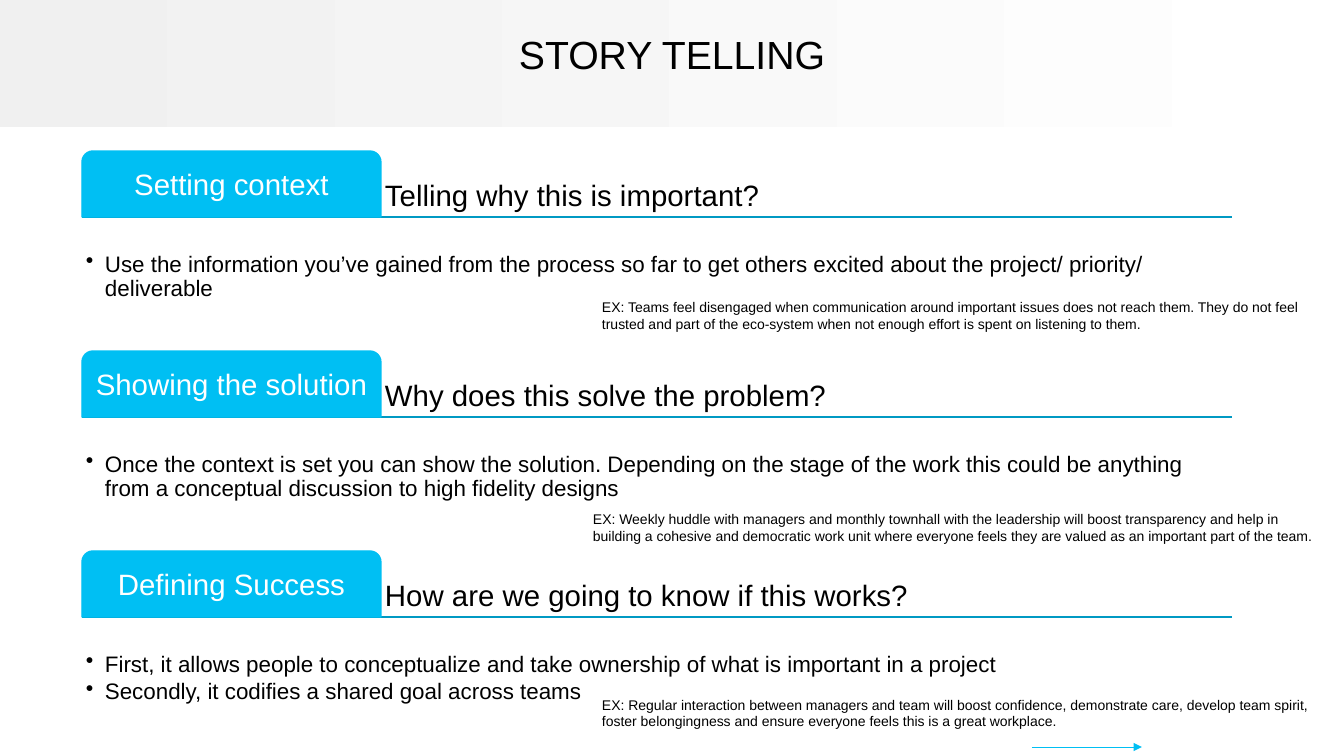
from dataclasses import dataclass

from lxml import etree
from pptx import Presentation
from pptx.dml.color import RGBColor
from pptx.enum.shapes import MSO_CONNECTOR, MSO_SHAPE
from pptx.enum.text import MSO_ANCHOR, PP_ALIGN
from pptx.oxml.ns import qn
from pptx.util import Pt

RECT, TAB = MSO_SHAPE.RECTANGLE, MSO_SHAPE.ROUND_2_SAME_RECTANGLE
STRAIGHT = MSO_CONNECTOR.STRAIGHT
TOP, MIDDLE, BOTTOM = MSO_ANCHOR.TOP, MSO_ANCHOR.MIDDLE, MSO_ANCHOR.BOTTOM
LEFT, CENTER = PP_ALIGN.LEFT, PP_ALIGN.CENTER

SLIDE_W, SLIDE_H = 1344, 756
EMU_PER_PX = 12192000 / SLIDE_W


@dataclass(frozen=True)
class Theme:
    font: str = "Arial"
    ink: str = "000000"
    white: str = "FFFFFF"
    band: str = "F0F0F0"
    accent: str = "00BFF3"
    rule: str = "0099C3"
    title: int = 28
    heading: int = 21
    body: int = 16
    example: int = 10


THEME = Theme()

SECTION_X, SECTION_W = 82, 1150
FIRST_TOP, PITCH = 151, 200
TAB_W, TAB_H = 299, 66
BODY_H, EXAMPLE_H = 131, 44
INSET, BODY_TOP_INSET, BULLET_INDENT = 4, 36, 19

# tab label, heading, bullets
SECTIONS = [
    ("Setting context", "Telling why this is important?",
     ["Use the information you’ve gained from the process so far to get others "
      "excited about the project/ priority/ deliverable"]),
    ("Showing the solution", "Why does this solve the problem?",
     ["Once the context is set you can show the solution. Depending on the stage of "
      "the work this could be anything from a conceptual discussion to high fidelity "
      "designs"]),
    ("Defining Success", "How are we going to know if this works?",
     ["First, it allows people to conceptualize and take ownership of what is "
      "important in a project",
      "Secondly, it codifies a shared goal across teams"]),
]

# left, top, width, text
EXAMPLES = [
    (592, 294, 752,
     "EX: Teams feel disengaged when communication around important issues does not "
     "reach them. They do not feel trusted and part of the eco-system when not enough "
     "effort is spent on listening to them."),
    (583, 506, 741,
     "EX: Weekly huddle with managers and monthly townhall with the leadership will "
     "boost transparency and help in building a cohesive and democratic work unit "
     "where everyone feels they are valued as an important part of the team."),
    (592, 691, 732,
     "EX: Regular interaction between managers and team will boost confidence, "
     "demonstrate care, develop team spirit, foster belongingness and ensure everyone "
     "feels this is a great workplace."),
]


def px(n):
    return round(n * EMU_PER_PX)


def rgb(color):
    return RGBColor.from_string(color)


def write(sp, lines, size, color=THEME.ink, align=LEFT, anchor=TOP, spacing=0.9,
          insets=(INSET,) * 4):
    """Fill a shape with one paragraph per line; insets are left, top, right, bottom."""
    tf = sp.text_frame
    tf.word_wrap = True
    tf.vertical_anchor = anchor
    tf.margin_left, tf.margin_top, tf.margin_right, tf.margin_bottom = map(px, insets)
    for i, line in enumerate(lines):
        p = tf.paragraphs[0] if i == 0 else tf.add_paragraph()
        p.text = line
        p.alignment = align
        p.line_spacing = spacing
        p.font.name = THEME.font
        p.font.size = Pt(size)
        p.font.color.rgb = rgb(color)


def add_text(s, box, lines, size, **options):
    sp = s.shapes.add_textbox(*map(px, box))
    write(sp, lines, size, **options)
    return sp


def add_line(s, x1, x2, y, color, width):
    """Draw a level line without a shadow."""
    line = s.shapes.add_connector(STRAIGHT, px(x1), px(y), px(x2), px(y))
    line.line.color.rgb = rgb(color)
    line.line.width = Pt(width)
    etree.SubElement(line._element.spPr, qn("a:effectLst"))
    return line


def add_arrow(s, x1, x2, y):
    arrow = add_line(s, x1, x2, y, THEME.accent, 0.5)
    etree.SubElement(arrow.line._get_or_add_ln(), qn("a:tailEnd"), type="triangle")


def add_header(s):
    band = s.shapes.add_shape(RECT, 0, 0, px(1339), px(127))
    band.shadow.inherit = False
    band.line.fill.background()
    band.fill.gradient()
    band.fill.gradient_angle = 0
    for stop, color in zip(band.fill.gradient_stops, (THEME.band, THEME.white)):
        stop.color.rgb = rgb(color)
    add_text(s, (0, 0, SLIDE_W, 114), ["STORY TELLING"], THEME.title,
             align=CENTER, anchor=MIDDLE)


def add_tab(s, top, label):
    tab = s.shapes.add_shape(TAB, px(SECTION_X), px(top), px(TAB_W), px(TAB_H))
    tab.shadow.inherit = False
    tab.adjustments[0] = 0.167
    tab.fill.solid()
    tab.fill.fore_color.rgb = rgb(THEME.accent)
    tab.line.color.rgb = rgb(THEME.accent)
    tab.line.width = Pt(1)
    write(tab, [label], THEME.heading, color=THEME.white, align=CENTER, anchor=MIDDLE)


def add_bullets(s, top, lines):
    sp = add_text(s, (SECTION_X, top, SECTION_W, BODY_H), lines, THEME.body,
                  insets=(INSET, BODY_TOP_INSET, INSET, INSET))
    for p in sp.text_frame.paragraphs:
        p.space_after = Pt(2.5)
        pPr = p._p.get_or_add_pPr()
        pPr.set("marL", str(px(BULLET_INDENT)))
        pPr.set("indent", str(-px(BULLET_INDENT)))
        bullet = etree.Element(qn("a:buChar"), char="•")
        pPr.find(qn("a:defRPr")).addprevious(bullet)


def add_section(s, top, label, heading, bullets):
    rule_y, heading_x = top + TAB_H, SECTION_X + TAB_W
    add_line(s, SECTION_X, SECTION_X + SECTION_W, rule_y, THEME.rule, 1)
    add_text(s, (heading_x, top, SECTION_W - TAB_W, TAB_H), [heading],
             THEME.heading, anchor=BOTTOM)
    add_tab(s, top, label)
    add_bullets(s, rule_y, bullets)


def main():
    prs = Presentation()
    prs.slide_width, prs.slide_height = px(SLIDE_W), px(SLIDE_H)
    s = prs.slides.add_slide(prs.slide_layouts[6])
    add_header(s)
    for i, section in enumerate(SECTIONS):
        add_section(s, FIRST_TOP + i * PITCH, *section)
    for left, top, width, text in EXAMPLES:
        add_text(s, (left, top, width, EXAMPLE_H), [text], THEME.example,
                 spacing=1.0, insets=(10, 5, 10, 5))
    add_arrow(s, 1032, 1142, 747)
    prs.save("out.pptx")


if __name__ == "__main__":
    main()
